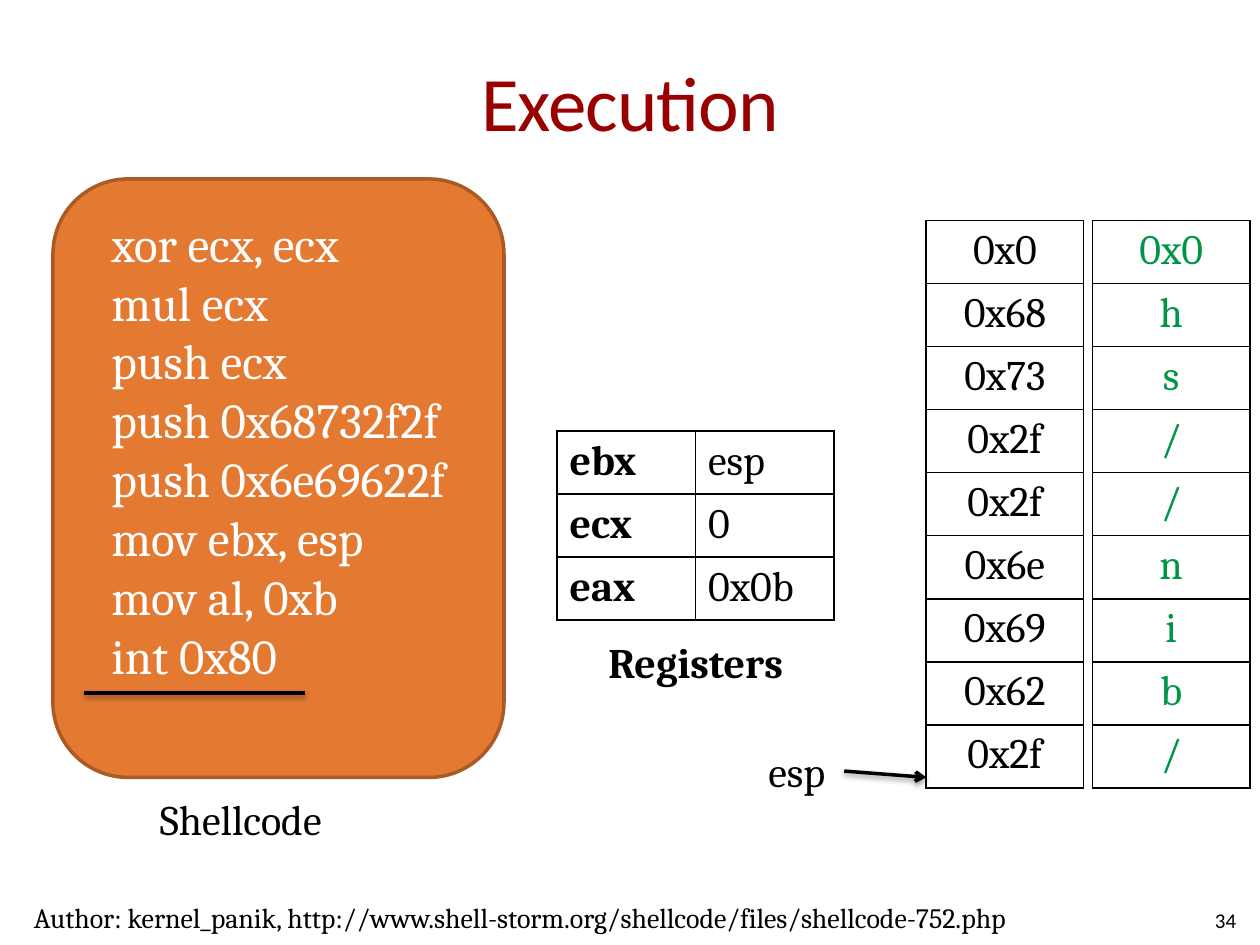
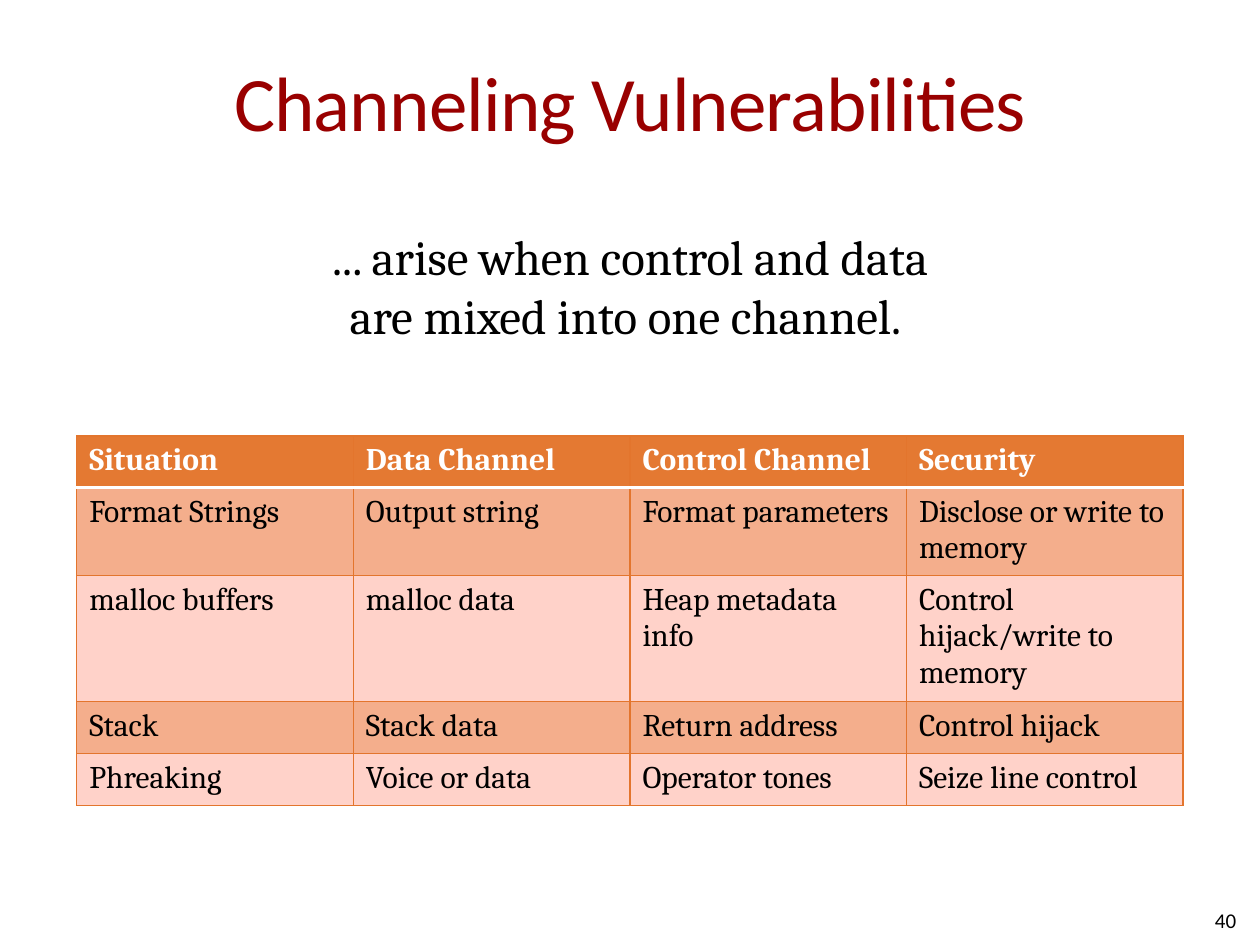
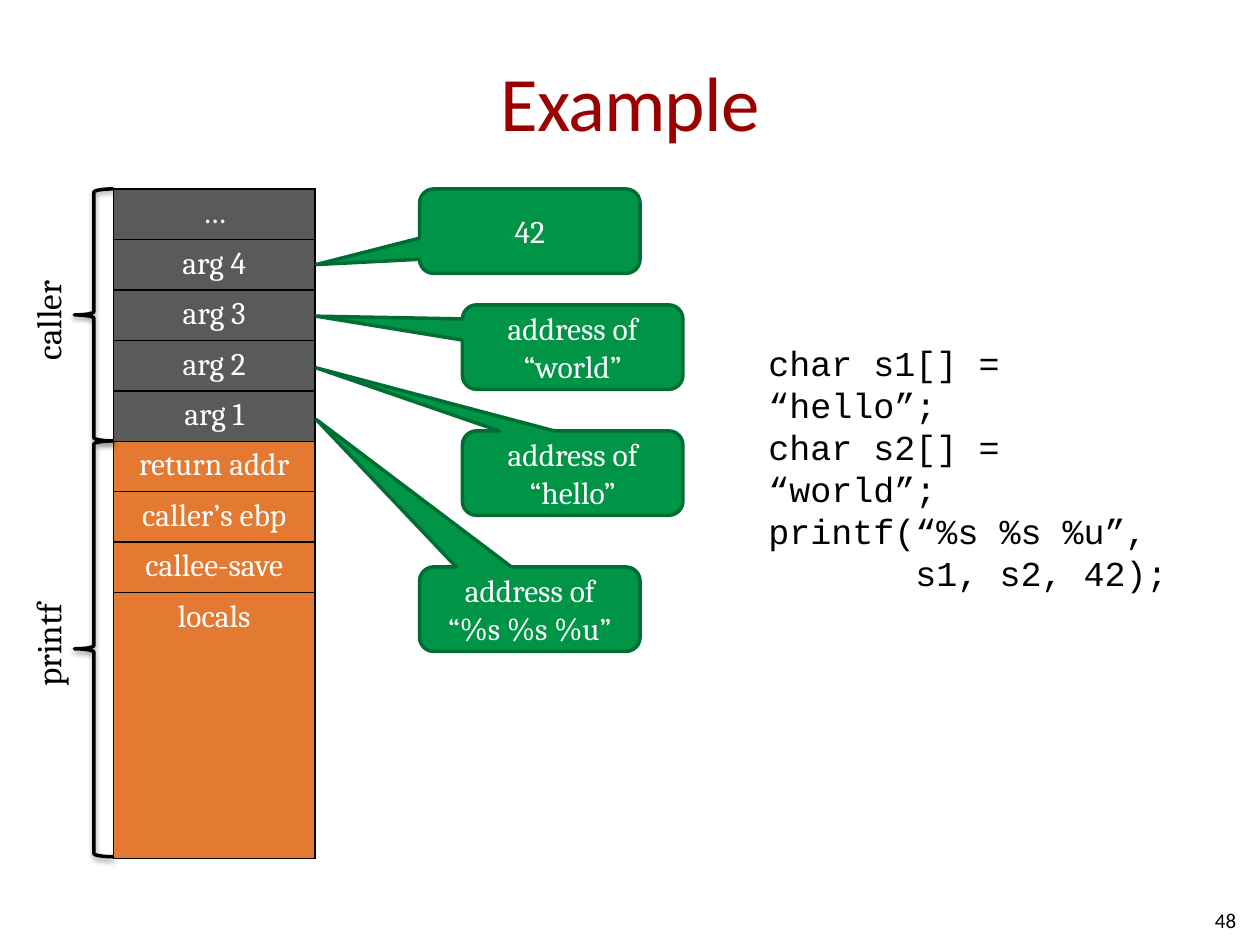
from lxml import etree
from pptx import Presentation, util as u
from pptx.dml.color import RGBColor
from pptx.enum import shapes, text
from pptx.oxml import parse_xml
from pptx.oxml.ns import qn

inch = u.Inches
hues = dict(title="990000", ink="000000", paper="FFFFFF", orange="E47932",
            rust="A95A25", rule="E3752D", band="F4AE8C", pale="FFD2C9",
            green="009446", pine="006D34", gray="595A5A")
rgb = {name: RGBColor.from_string(code) for name, code in hues.items()}
left, mid, right = text.PP_ALIGN.LEFT, text.PP_ALIGN.CENTER, text.PP_ALIGN.RIGHT
top, half = text.MSO_ANCHOR.TOP, text.MSO_ANCHOR.MIDDLE
kinds = shapes.MSO_SHAPE
shade = """<a:effectLst xmlns:a="http://schemas.openxmlformats.org/drawingml/2006/main">
<a:outerShdw blurRad="40000" dist="20000" dir="5400000" rotWithShape="0">
<a:srgbClr val="000000"><a:alpha val="38000"/></a:srgbClr></a:outerShdw></a:effectLst>"""


def put(words, host=None, box=None, size=24, font="Cambria", hue="ink",
        bold=False, align=left, anchor=top, wrap=True, space=0):
    if box:
        host = slide.shapes.add_textbox(*map(inch, box))
    frame = host.text_frame
    frame.text = words
    if hasattr(host, "shape_type"):
        frame.word_wrap = wrap
        frame.vertical_anchor = anchor
    for para in frame.paragraphs:
        para.alignment = align
        for run in para.runs:
            run.font.size = u.Pt(size)
            run.font.name = font
            run.font.bold = bold
            run.font.color.rgb = rgb[hue]
            if space:
                run.font._element.set("spc", str(space))
    return host


def grid(rows, x, y, wide, highs, style, edge="ink", width=1):
    table = slide.shapes.add_table(len(rows), len(rows[0]), inch(x), inch(y),
                                   inch(wide * len(rows[0])), inch(sum(highs))).table
    table.first_row = table.horz_banding = False
    for col in table.columns:
        col.width = inch(wide)
    for r, row in enumerate(rows):
        table.rows[r].height = inch(highs[r])
        for c, words in enumerate(row):
            cell = table.cell(r, c)
            look = dict(style(r, c))
            fill = look.pop("fill", "paper")
            lines = look.pop("lines", {})
            put(words, cell, **look)
            props = cell._tc.get_or_add_tcPr()
            for side in "LRTB":
                hue, pts = lines.get(side, (edge, width))
                line = etree.SubElement(props, qn("a:ln" + side), w=str(u.Pt(pts)))
                paint = etree.SubElement(line, qn("a:solidFill"))
                etree.SubElement(paint, qn("a:srgbClr"), val=hues[hue])
            cell.fill.solid()
            cell.fill.fore_color.rgb = rgb[fill]


deck = Presentation()
deck.slide_width, deck.slide_height = inch(10), inch(7.5)
pages = []
for name, num in [("Execution", 34), ("Channeling Vulnerabilities", 40), ("Example", 48)]:
    slide = deck.slides.add_slide(deck.slide_layouts[6])
    pages.append(slide)
    head = put(name, box=(0.5, 0.17, 9, 1.25), size=44, font="Calibri", hue="title",
               align=mid, anchor=half, space=-50)
    head.text_frame.margin_left = head.text_frame.margin_right = 0
    put(str(num), box=(7.58, 7.1, 2.33, 0.4), size=12, font="Calibri",
        align=right, anchor=half)

slide = pages[0]
put("Author: kernel_panik, http://www.shell-storm.org/shellcode/files/shellcode-752.php",
    box=(0.17, 7.1, 8.43, 0.37), size=16, wrap=False)
code = slide.shapes.add_shape(kinds.ROUNDED_RECTANGLE, inch(0.42), inch(1.42),
                              inch(3.58), inch(4.75))
code.shadow.inherit = False
code.fill.solid()
code.fill.fore_color.rgb = rgb["orange"]
code.line.color.rgb = rgb["rust"]
code.line.width = u.Pt(2)
put("xor ecx, ecx\nmul ecx\npush ecx\npush 0x68732f2f\npush 0x6e69622f\n"
    "mov ebx, esp\nmov al, 0xb\nint 0x80", code, size=28, hue="paper", anchor=half)
code.text_frame.margin_left = inch(0.29)
code.text_frame.margin_right = 0
code.text_frame.margin_bottom = inch(0.52)
put("Shellcode", box=(1.17, 6.25, 1.58, 0.5), wrap=False)
put("Registers", box=(4.73, 5, 1.65, 0.5), bold=True, wrap=False)
esp = put("esp", box=(6, 5.87, 0.7, 0.5), wrap=False)

stack = "0x0 0x68 0x73 0x2f 0x2f 0x6e 0x69 0x62 0x2f"
chars = "0x0 h s / / n i b /"
for words, x, hue in [(stack, 7.35, "ink"), (chars, 8.67, "green")]:
    grid([[word] for word in words.split()], x, 1.75, 1.25, [0.5] * 9,
         lambda r, c: dict(hue=hue, align=mid))
grid([["ebx", "esp"], ["ecx", "0"], ["eax", "0x0b"]], 4.42, 3.42, 1.1, [0.5] * 3,
     lambda r, c: dict(bold=c == 0))

for ends, arrow in [((6.7, 6.12, 7.35, 6.17), True), ((0.67, 5.5, 2.42, 5.5), False)]:
    link = slide.shapes.add_connector(shapes.MSO_CONNECTOR.STRAIGHT, *map(inch, ends))
    link.line.color.rgb = rgb["ink"]
    link.line.width = u.Pt(2)
    if arrow:
        link.begin_connect(esp, 3)
        etree.SubElement(link.line._get_or_add_ln(), qn("a:tailEnd"), type="arrow")
    link._element.spPr.append(parse_xml(shade))

slide = pages[1]
put("... arise when control and data\vare mixed into one channel. ",
    box=(0, 1.75, 10, 1.1), size=28, align=mid)


def tone(r, c):
    if r == 0:
        return dict(size=18, hue="paper", bold=True, fill="orange",
                    lines={"B": ("paper", 2)})
    return dict(size=18, fill="band" if r % 2 else "pale",
                lines={"T": ("paper", 2)} if r == 1 else {})


grid([["Situation", "Data Channel", "Control Channel", "Security"],
      ["Format Strings", "Output string", "Format parameters", "Disclose or write to memory"],
      ["malloc buffers", "malloc data", "Heap metadata info", "Control hijack/write to memory"],
      ["Stack", "Stack data", "Return address", "Control hijack"],
      ["Phreaking", "Voice or data", "Operator tones", "Seize line control"]],
     0.61, 3.46, 2.195, [0.41, 0.68, 0.96, 0.41, 0.41], tone, "rule", 0.75)

slide = pages[2]
put("char s1[] = “hello”;\nchar s2[] = “world”;\nprintf(“%s %s %u”,\v       s1, s2, 42);",
    box=(6, 2.66, 3.5, 2.1), size=20, font="Courier New")
cells = ["…", "arg 4", "arg 3", "arg 2", "arg 1", "return addr", "caller’s ebp",
         "callee-save", "locals"]
grid([[word] for word in cells], 0.9, 1.5, 1.6, [0.4] * 8 + [2.11],
     lambda r, c: dict(size=18, hue="paper", align=mid, fill="gray" if r < 5 else "orange"))

for word, y, tall, start, span in [("caller", 2.19, 0.77, 1.5, 2), ("printf", 4.73, 0.82, 3.5, 3.3)]:
    label = put(word, box=(0.16, y, 0.54, tall), size=20, wrap=False)
    label.text_frame._txBody.bodyPr.set("vert", "vert270")
    brace = slide.shapes.add_shape(kinds.LEFT_BRACE, inch(0.59), inch(start),
                                   inch(0.31), inch(span))
    brace.fill.background()
    brace.line.color.rgb = rgb["ink"]
    brace.line.width = u.Pt(2)
    brace._element.spPr.append(parse_xml(shade))

notes = [("42", 3.33, 1.5), ("address of\v“world”", 3.67, 2.42),
         ("address of\v“hello”", 3.67, 3.42), ("address of\v“%s %s %u”", 3.33, 4.5)]
wide, tall = 1.75, 0.67
for i, (words, x, y) in enumerate(notes):
    note = slide.shapes.add_shape(kinds.ROUNDED_RECTANGULAR_CALLOUT, inch(x), inch(y),
                                  inch(wide), inch(tall))
    note.adjustments[0] = (2.51 - x) / wide - 0.5
    note.adjustments[1] = (2.1 + 0.41 * i - y) / tall - 0.5
    note.shadow.inherit = False
    note.fill.solid()
    note.fill.fore_color.rgb = rgb["green"]
    note.line.color.rgb = rgb["pine"]
    note.line.width = u.Pt(2)
    put(words, note, size=18, hue="paper", align=mid, anchor=half)

deck.save("out.pptx")
